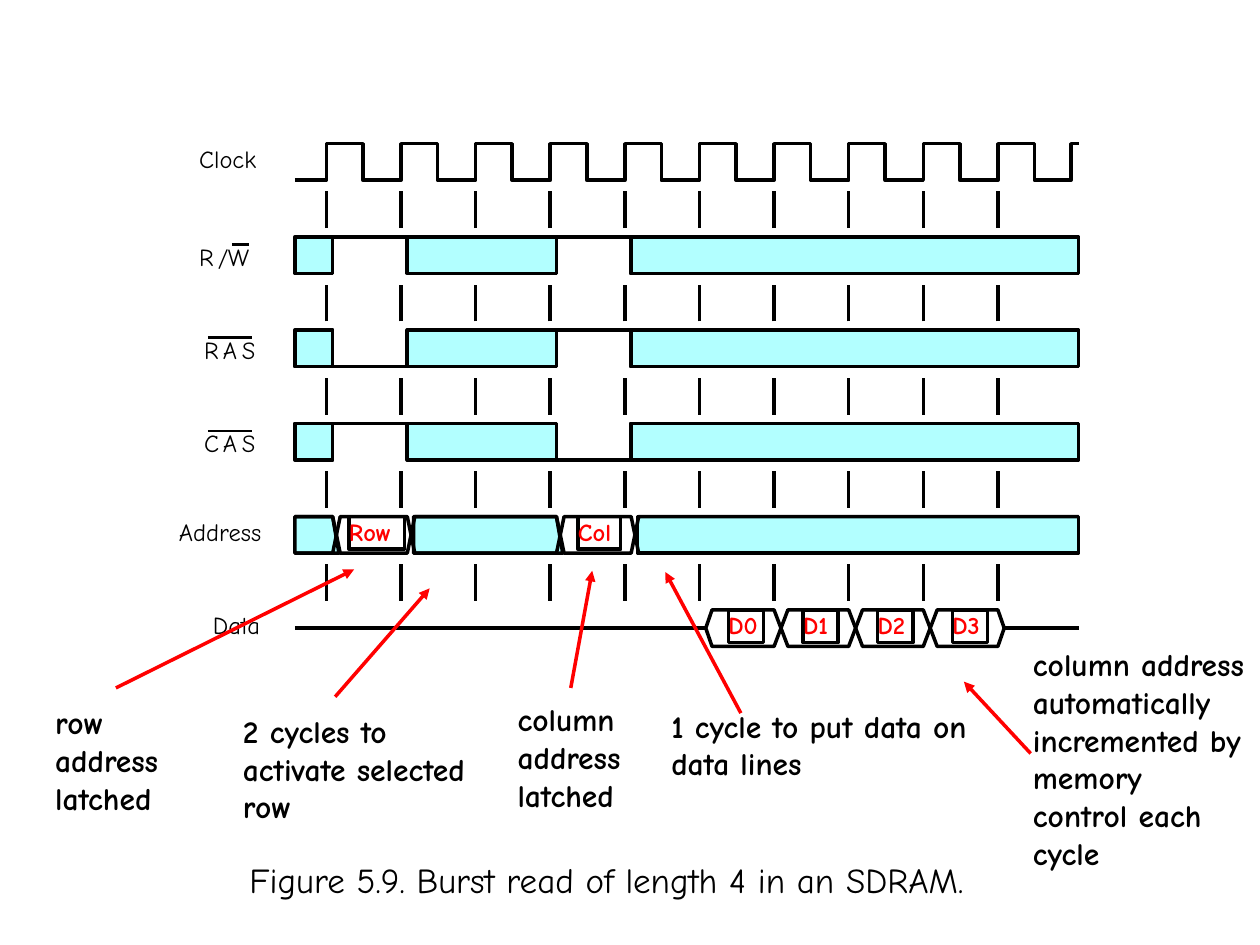
from lxml import etree
from pptx import Presentation, util as u
from pptx.dml.color import RGBColor
from pptx.enum import text as t
from pptx.oxml.ns import qn

COLOURS = {"ink": "000000", "bus": "B2FFFF", "accent": "FF0000"}
FONT = "Comic Neue"

# Timing grid in inches: one column per clock cycle, one row per signal
LEFT, RIGHT = 2.34, 8.56
HEIGHT = 0.29
DELAY = 0.05  # signals change just after the clock edge
ticks = [2.59 + (7.92 - 2.59) / 9 * n for n in range(10)]
edges = [tick + DELAY for tick in ticks]
tops = [1.14 + 0.74 * n for n in range(6)]
clock, rw, ras, cas, address, data = [(top, top + HEIGHT) for top in tops]

deck = Presentation()
deck.slide_width, deck.slide_height = u.Inches(10), u.Inches(7.5)
slide = deck.slides.add_slide(deck.slide_layouts[5])


def stroke(points, colour="ink", fill=None, width=2, arrow=False):
    """Two points give a connector, more give a freeform."""
    emu = [(u.Inches(x), u.Inches(y)) for x, y in points]
    if len(emu) == 2:
        path = slide.shapes.add_connector(1, *emu[0], *emu[1])
    else:
        builder = slide.shapes.build_freeform(*emu[0])
        builder.add_line_segments(emu[1:], close=fill is not None)
        path = builder.convert_to_shape()
        path.shadow.inherit = False
        if fill:
            path.fill.solid()
            path.fill.fore_color.rgb = RGBColor.from_string(COLOURS[fill])
        else:
            path.fill.background()
    path.line.color.rgb = RGBColor.from_string(COLOURS[colour])
    path.line.width = u.Pt(width)
    if len(emu) == 2:
        etree.SubElement(path._element.spPr, qn("a:effectLst"))
    if arrow:
        etree.SubElement(path.line._get_or_add_ln(), qn("a:tailEnd"), type="triangle")


def write(words, x, y, w, h, size=14, colour="ink", bold=False, tight=True, box=None):
    """Place text; tight text has no margins and does not wrap."""
    box = box or slide.shapes.add_textbox(0, 0, 0, 0)
    box.left, box.top, box.width, box.height = map(u.Inches, (x, y, w, h))
    frame = box.text_frame
    frame.text = words
    frame.word_wrap = not tight
    frame.auto_size = t.MSO_AUTO_SIZE.SHAPE_TO_FIT_TEXT
    frame.vertical_anchor = t.MSO_ANCHOR.TOP
    if tight:
        frame.margin_left = frame.margin_right = frame.margin_top = frame.margin_bottom = 0
    frame.paragraphs[0].alignment = t.PP_ALIGN.LEFT
    font = frame.paragraphs[0].runs[0].font
    font.name, font.size, font.bold = FONT, u.Pt(size), bold
    font.color.rgb = RGBColor.from_string(COLOURS[colour])
    return box


# Caption
write("Figure 5.9. Burst read of length 4 in an SDRAM.", 1.98, 6.81, 5.89, 0.33,
      size=20, box=slide.shapes.title)

# Don't-care bars of the three control signals
for top, bottom in (rw, ras, cas):
    for start, end in ((LEFT, edges[0]), (edges[1], edges[3]), (edges[4], RIGHT)):
        bar = slide.shapes.add_shape(1, *map(u.Inches, (start, top, end - start, HEIGHT)))
        bar.shadow.inherit = False
        bar.fill.solid()
        bar.fill.fore_color.rgb = RGBColor.from_string(COLOURS["bus"])
        bar.line.color.rgb = RGBColor.from_string(COLOURS["ink"])
        bar.line.width = u.Pt(2)

# Clock
pulses = [(LEFT, clock[1])]
for tick in ticks:
    pulses += [(tick, clock[1]), (tick, clock[0]),
               (tick + HEIGHT, clock[0]), (tick + HEIGHT, clock[1])]
stroke(pulses + [(8.5, clock[1]), (8.5, clock[0]), (RIGHT, clock[0])])

# R/W: high during both address slots
top, bottom = rw
stroke([(LEFT, bottom), (edges[0], bottom), (edges[0], top), (edges[1], top),
        (edges[1], bottom), (edges[3], bottom), (edges[3], top), (edges[4], top),
        (edges[4], bottom), (RIGHT, bottom)])
stroke([(LEFT, top), (RIGHT, top)])

# RAS is low in the row slot, CAS in the column slot
for idle, active in (ras, cas[::-1]):
    stroke([(LEFT, idle), (edges[0], idle), (edges[0], active), (edges[1], active),
            (edges[1], idle), (RIGHT, idle)])
    stroke([(LEFT, active), (edges[3], active), (edges[3], idle)])
    stroke([(edges[4], idle), (edges[4], active), (RIGHT, active)])

# Address bus: don't-care areas, then the two crossing traces
top, bottom = address
for start, end in ((LEFT, edges[0]), (edges[1] + 0.05, edges[3]), (edges[4] + 0.05, RIGHT)):
    slant = 0 if end == RIGHT else 0.05
    stroke([(start, bottom), (end + slant, bottom), (end, top), (start, top)], fill="bus")
for level, other in (address, address[::-1]):
    trace = [(LEFT, level)]
    for edge in (edges[0], edges[1], edges[3], edges[4]):
        trace += [(edge, level), (edge + 0.06, other)]
        level, other = other, level
    stroke(trace + [(RIGHT, level)])

# Data bus: idle, four words, idle
middle = sum(data) / 2
for level, other in (data, data[::-1]):
    trace = [(edges[5], middle), (edges[5] + 0.05, level)]
    for edge in edges[6:9]:
        trace += [(edge - 0.05, level), (edge + 0.06, other)]
        level, other = other, level
    stroke(trace + [(edges[9] - 0.05, level), (edges[9], middle)])
stroke([(LEFT, middle), (edges[5], middle)])
stroke([(edges[9], middle), (RIGHT, middle)])

# Framed bus contents
contents = [("Row", ticks[0] + 0.18, address, 0.44), ("Col", ticks[3] + 0.22, address, 0.34)]
contents += [(f"D{n}", ticks[5 + n] + 0.23, data, 0.28) for n in range(4)]
for words, x, row, width in contents:
    frame = write(words, x, row[0], width, 0.26, colour="accent", bold=True)
    frame.line.color.rgb = RGBColor.from_string(COLOURS["ink"])
    frame.line.width = u.Pt(2)

# Dashed cycle marks between the rows
for tick in ticks:
    for top in tops[:5]:
        stroke([(tick, top + 0.67), (tick, top + 0.38)])

# Signal names
for name, x, row, width in (("Clock", 1.58, clock, 0.49), ("Address", 1.42, address, 0.71),
                            ("Data", 1.69, data, 0.41)):
    write(name, x, row[0], width, 0.23)

# Control names are spaced letters under a bar for active low
for letters, x_positions, row, bar in (
        ("R/W", (1.58, 1.73, 1.81), rw, (1.84, 1.98)),
        ("RAS", (1.62, 1.77, 1.92), ras, (1.65, 2)),
        ("CAS", (1.62, 1.77, 1.92), cas, (1.65, 2))):
    for letter, x in zip(letters, x_positions):
        write(letter, x, row[0] + 0.04, 0.14, 0.23)
    stroke([(x, row[0] + 0.06) for x in bar], width=1.5)

# Notes with their arrows
notes = [
    ("2 cycles to activate selected row", (1.83, 5.6, 2.02, 0.9), (2.66, 5.53), (3.41, 4.67)),
    ("1 cycle to put data on data lines", (5.23, 5.56, 2.86, 0.64), (5.88, 5.66), (5.28, 4.54)),
    ("column address latched", (4.01, 5.51, 1.46, 0.9), (4.53, 5.46), (4.7, 4.53)),
    ("row address latched", (0.34, 5.53, 1.46, 0.9), (0.92, 5.46), (2.81, 4.52)),
    ("column address automatically incremented by memory control each cycle",
     (8.1, 5.07, 1.9, 1.7), (8.18, 5.98), (7.65, 5.41)),
]
for words, place, tail, tip in notes:
    write(words, *place, size=18, bold=True, tight=False)
    stroke([tail, tip], colour="accent", arrow=True)

deck.save("out.pptx")
